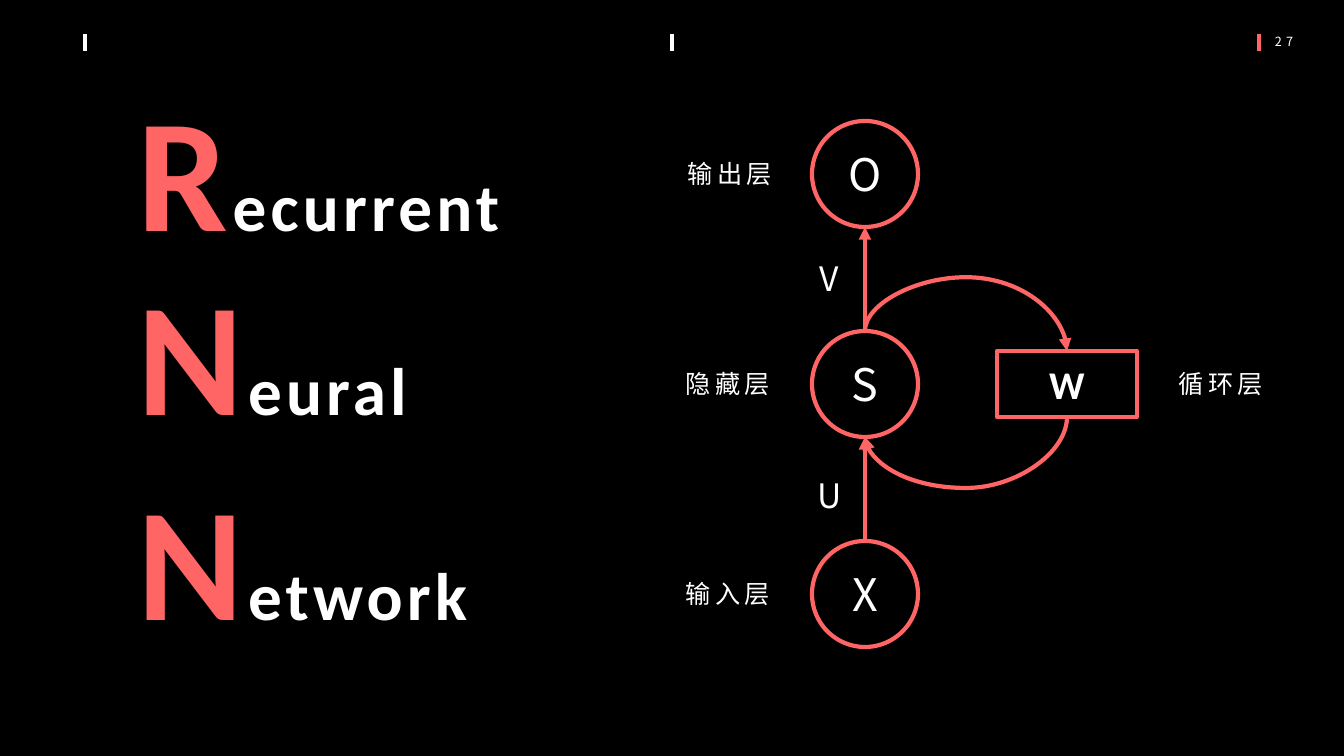
from pptx import Presentation
from pptx.dml.color import RGBColor
from pptx.enum.shapes import MSO_CONNECTOR as CONN, MSO_SHAPE as SHAPE
from pptx.enum.text import MSO_ANCHOR as ANCHOR, MSO_AUTO_SIZE as AUTO, PP_ALIGN as ALIGN
from pptx.oxml.ns import qn
from pptx.util import Pt
from lxml.etree import SubElement

PX = 914400 / 100.8
WHITE, CORAL, BLACK = "FFFFFF", "FF6565", "000000"
LATIN, CJK = "Calibri", "Noto Sans CJK SC"

WORDS = [("R", "ecurrent", 66), ("N", "eural", 250), ("N", "etwork", 455)]
LAYERS = [("O", "输出层", 660), ("S", "隐藏层", 658), ("X", "输入层", 658)]
LOOP_LABEL = ("循环层", 1151)
WEIGHTS = [("V", 253), ("U", 470)]
BARS = [(85, WHITE), (672, WHITE), (1259, CORAL)]
NODE_X, NODE_TOP, NODE_D, NODE_STEP = 812, 121, 106, 210
LOOP_BOX = (997, 351, 140, 66)


def px(n):
    return round(n * PX)


def rgb(value):
    return RGBColor.from_string(value)


def add_run(p, text, size, font, color=WHITE, bold=False, spacing=0):
    r = p.add_run()
    r.text = text
    r.font.size, r.font.name, r.font.bold = Pt(size), font, bold
    r.font.color.rgb = rgb(color)
    rpr = r._r.get_or_add_rPr()
    SubElement(rpr, qn("a:ea")).set("typeface", font)
    if spacing:
        rpr.set("spc", str(spacing * 100))


def add_box(x, y, w, h):
    tf = slide.shapes.add_textbox(*map(px, (x, y, w, h))).text_frame
    tf.word_wrap = True
    tf.auto_size = AUTO.SHAPE_TO_FIT_TEXT
    return tf


def add_label(text, x, y, w, h, size):
    tf = add_box(x, y, w, h)
    p = tf.paragraphs[0]
    p.alignment = ALIGN.CENTER
    add_run(p, text, size, CJK, spacing=3)
    return tf


def add_node(kind, text, box, size, font, bold=False):
    sp = slide.shapes.add_shape(kind, *map(px, box))
    sp.shadow.inherit = False
    sp.fill.background()
    sp.line.color.rgb = rgb(CORAL)
    sp.line.width = Pt(3)
    tf = sp.text_frame
    tf.margin_left = tf.margin_right = tf.margin_top = tf.margin_bottom = 0
    tf.vertical_anchor = ANCHOR.MIDDLE
    p = tf.paragraphs[0]
    p.alignment = ALIGN.CENTER
    add_run(p, text, size, font, bold=bold)


def add_line(x1, y1, x2, y2, color=CORAL, width=3, arrow=True, kind=CONN.STRAIGHT):
    cxn = slide.shapes.add_connector(kind, *map(px, (x1, y1, x2, y2)))
    cxn.line.color.rgb = rgb(color)
    cxn.line.width = Pt(width)
    if arrow:
        SubElement(cxn.line._get_or_add_ln(), qn("a:tailEnd")).set("type", "triangle")
    SubElement(cxn._element.spPr, qn("a:effectLst"))
    return cxn


def add_loop(x1, y1, x2, y2, turn, flip, bend):
    cxn = add_line(x1, y1, x2, y2, kind=CONN.CURVE)
    w, h = abs(y2 - y1), abs(x2 - x1)
    cxn.left, cxn.top = px((x1 + x2 - w) / 2), px((y1 + y2 - h) / 2)
    cxn.width, cxn.height = px(w), px(h)
    xfrm = cxn._element.spPr.find(qn("a:xfrm"))
    xfrm.set("rot", str(turn * 60000))
    xfrm.set("flipH", str(flip))
    geom = cxn._element.spPr.find(qn("a:prstGeom"))
    guides = geom.find(qn("a:avLst"))
    if guides is None:
        guides = SubElement(geom, qn("a:avLst"))
    guide = SubElement(guides, qn("a:gd"))
    guide.set("name", "adj1")
    guide.set("fmla", f"val {bend * 1000}")


prs = Presentation()
prs.slide_width, prs.slide_height = px(1344), px(756)
slide = prs.slides.add_slide(prs.slide_layouts[6])
slide.background.fill.solid()
slide.background.fill.fore_color.rgb = rgb(BLACK)

add_label("27", 1259, 29, 50, 25, 9).vertical_anchor = ANCHOR.MIDDLE
for x, color in BARS:
    add_line(x, 34, x, 51, color, 2.25, False)

for initial, rest, y in WORDS:
    p = add_box(128, y, 530, 206).paragraphs[0]
    add_run(p, initial, 115, LATIN, CORAL, True, 3)
    add_run(p, rest, 48, LATIN, WHITE, True, 3)

axis = NODE_X + NODE_D // 2
tops = [NODE_TOP + i * NODE_STEP for i in range(len(LAYERS))]
for (letter, name, x), top in zip(LAYERS, tops):
    add_node(SHAPE.OVAL, letter, (NODE_X, top, NODE_D, NODE_D), 32, CJK)
    add_label(name, x, top + 32, 140, 40, 18)
for upper, lower in zip(tops, tops[1:]):
    add_line(axis, lower, axis, upper + NODE_D)
for letter, y in WEIGHTS:
    add_label(letter, 801, y, 57, 50, 24)

hidden = tops[1]
left, top, width, height = LOOP_BOX
loop_axis = left + width // 2
add_node(SHAPE.RECTANGLE, "W", LOOP_BOX, 28, LATIN, True)
add_loop(axis, hidden, loop_axis, top, 270, 1, -269)
add_loop(loop_axis, top + height, axis, hidden + NODE_D, 90, 0, 355)
add_label(LOOP_LABEL[0], LOOP_LABEL[1], hidden + 32, 140, 40, 18)

prs.save("out.pptx")
